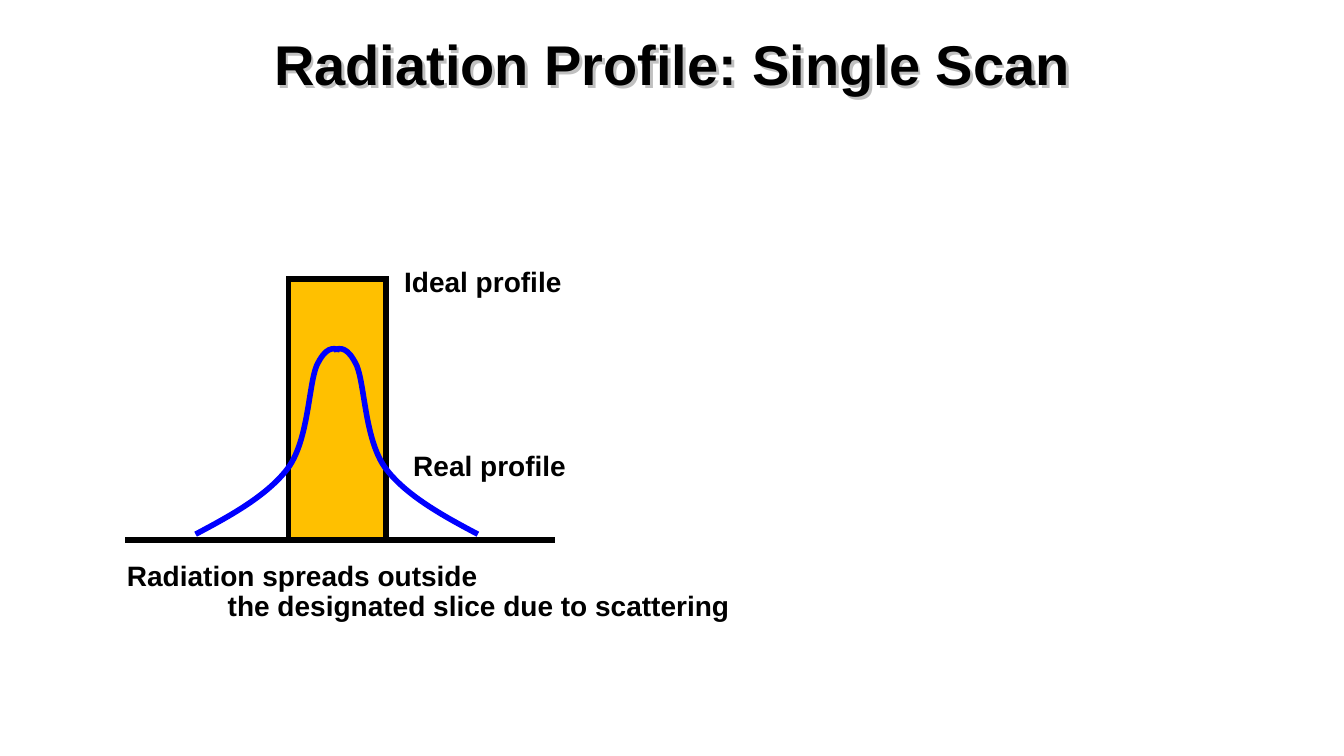
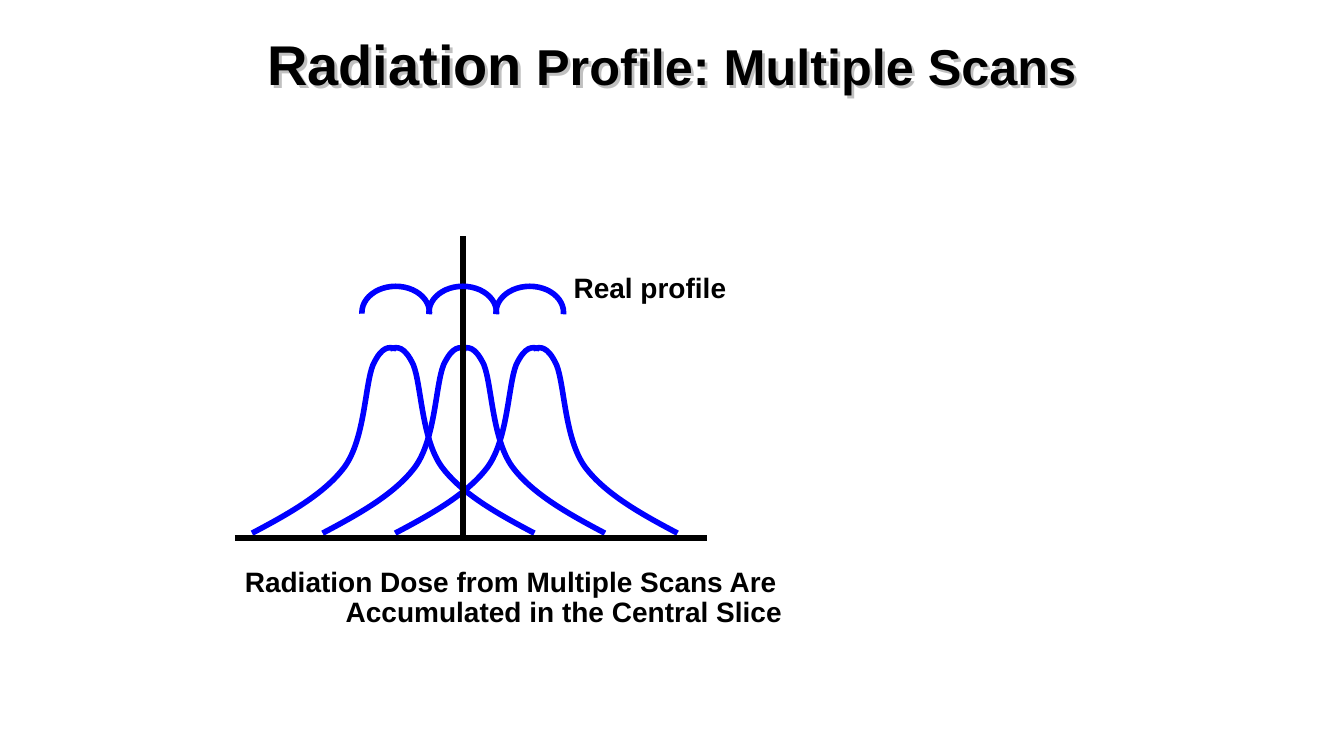
from lxml.etree import SubElement
from pptx import Presentation
from pptx.dml.color import RGBColor
from pptx.enum.shapes import MSO_CONNECTOR, MSO_SHAPE
from pptx.enum.text import MSO_ANCHOR, PP_ALIGN
from pptx.oxml import parse_xml
from pptx.oxml.ns import nsdecls, qn
from pptx.util import Inches, Pt

FONT = "Arial"
COLORS = {"ink": "000000", "ideal": "FFC000", "real": "0000FF", "shadow": "C0C0C0"}
STROKE = 4
INDENT = 1

# Left half of a real profile: offsets from its centre and its foot,
# a start point followed by three cubic segments.
HALF_PROFILE = [
    (-1.4, 0), (-1.04, -0.19), (-0.68, -0.39), (-0.48, -0.66),
    (-0.28, -0.94), (-0.28, -1.47), (-0.2, -1.67),
    (-0.11, -1.86), (-0.04, -1.85), (0.03, -1.83),
]

SLIDES = [
    {
        "title": [("Radiation Profile: Single Scan", 40)],
        "caption": ["Radiation spreads outside", "the designated slice due to scattering"],
        "caption_at": (1.16, 5.53, 7.51, 0.71),
        "labels": [("Ideal profile", 3.91, 2.61, 1.78), ("Real profile", 4, 4.44, 1.73)],
        "ideal": [(2.86, 2.77, 0.97, 2.59)],
        "centers": [3.34],
        "foot": 5.3,
        "axes": [(1.24, 5.36, 5.5, 5.36)],
        "arcs": [],
    },
    {
        "title": [("Radiation", 40), (" Profile: Multiple Scans", 36)],
        "caption": ["Radiation Dose from Multiple Scans Are", "Accumulated in the Central Slice"],
        "caption_at": (2.33, 5.59, 5.9, 0.71),
        "labels": [("Real profile", 5.59, 2.67, 1.73)],
        "ideal": [],
        "centers": [3.9, 4.6, 5.32],
        "foot": 5.29,
        "axes": [(2.33, 5.34, 7.01, 5.34), (4.59, 5.34, 4.59, 2.34)],
        "arcs": [(3.59 + 0.665 * number, 2.84, 0.67, 0.52) for number in range(3)],
    },
]


def color(name):
    return RGBColor.from_string(COLORS[name])


def set_stroke(shape, name):
    shape.line.color.rgb = color(name)
    shape.line.width = Pt(STROKE)


def add_text_shadow(box):
    """Give an unfilled box a shadow, which falls from its letters."""
    box._element.spPr.append(parse_xml(
        f'<a:effectLst {nsdecls("a")}><a:outerShdw dist="35921" dir="2700000">'
        f'<a:srgbClr val="{COLORS["shadow"]}"/></a:outerShdw></a:effectLst>'
    ))


def add_text(page, paragraphs, at, align=PP_ALIGN.LEFT, anchor=MSO_ANCHOR.TOP,
             spacing=0.9, hanging=0):
    """Add paragraphs of (text, size) runs; hanging indents all after the first."""
    box = page.shapes.add_textbox(*map(Inches, at))
    frame = box.text_frame
    frame.word_wrap = True
    frame.vertical_anchor = anchor
    for index, runs in enumerate(paragraphs):
        para = frame.add_paragraph() if index else frame.paragraphs[0]
        para.alignment = align
        para.line_spacing = spacing
        if index and hanging:
            para._p.get_or_add_pPr().set("marL", str(Inches(hanging)))
        for text, size in runs:
            span = para.add_run()
            span.text = text
            span.font.size = Pt(size)
            span.font.bold = True
            span.font.color.rgb = color("ink")
            span.font.name = FONT
    return box


def bend_segments(outline):
    """Join each three straight segments of a freeform into one cubic curve."""
    lines = list(outline._element.iter(qn("a:lnTo")))
    for first in range(0, len(lines), 3):
        trio = lines[first:first + 3]
        cubic = trio[0].makeelement(qn("a:cubicBezTo"))
        trio[0].addprevious(cubic)
        for line in trio:
            cubic.append(line[0])
            line.getparent().remove(line)


def add_real_profile(page, center, foot):
    for side in (1, -1):
        points = [(Inches(center + side * x), Inches(foot + y)) for x, y in HALF_PROFILE]
        builder = page.shapes.build_freeform(*points[0], scale=1.0)
        builder.add_line_segments(points[1:], close=False)
        curve = builder.convert_to_shape()
        bend_segments(curve)
        curve.shadow.inherit = False
        curve.fill.background()
        set_stroke(curve, "real")


def add_ideal_profile(page, at):
    bar = page.shapes.add_shape(MSO_SHAPE.RECTANGLE, *map(Inches, at))
    bar.shadow.inherit = False
    bar.fill.solid()
    bar.fill.fore_color.rgb = color("ideal")
    set_stroke(bar, "ink")
    SubElement(bar.line._get_or_add_ln(), qn("a:miter")).set("lim", "800000")


def add_axis(page, ends):
    axis = page.shapes.add_connector(MSO_CONNECTOR.STRAIGHT, *map(Inches, ends))
    set_stroke(axis, "ink")
    SubElement(axis._element.spPr, qn("a:effectLst"))


def add_arc(page, at):
    arc = page.shapes.add_shape(MSO_SHAPE.ARC, *map(Inches, at))
    arc.shadow.inherit = False
    arc.adjustments[0] = 106.8  # 178 degrees
    arc.adjustments[1] = 1.8  # 3 degrees
    arc.fill.background()
    set_stroke(arc, "real")


def build_slide(deck, content):
    page = deck.slides.add_slide(deck.slide_layouts[6])
    title = add_text(page, [content["title"]], (0.22, 0.17, 12.89, 0.92), spacing=1.0,
                     align=PP_ALIGN.CENTER, anchor=MSO_ANCHOR.MIDDLE)
    add_text_shadow(title)
    add_text(page, [[(line, 20)] for line in content["caption"]],
             content["caption_at"], hanging=INDENT)
    for text, left, top, width in content["labels"]:
        add_text(page, [[(text, 20)]], (left, top, width, 0.4))
    for at in content["ideal"]:
        add_ideal_profile(page, at)
    for center in content["centers"]:
        add_real_profile(page, center, content["foot"])
    for ends in content["axes"]:
        add_axis(page, ends)
    for at in content["arcs"]:
        add_arc(page, at)


def main():
    deck = Presentation()
    deck.slide_width, deck.slide_height = Inches(13.33), Inches(7.5)
    for content in SLIDES:
        build_slide(deck, content)
    deck.save("out.pptx")


if __name__ == "__main__":
    main()
